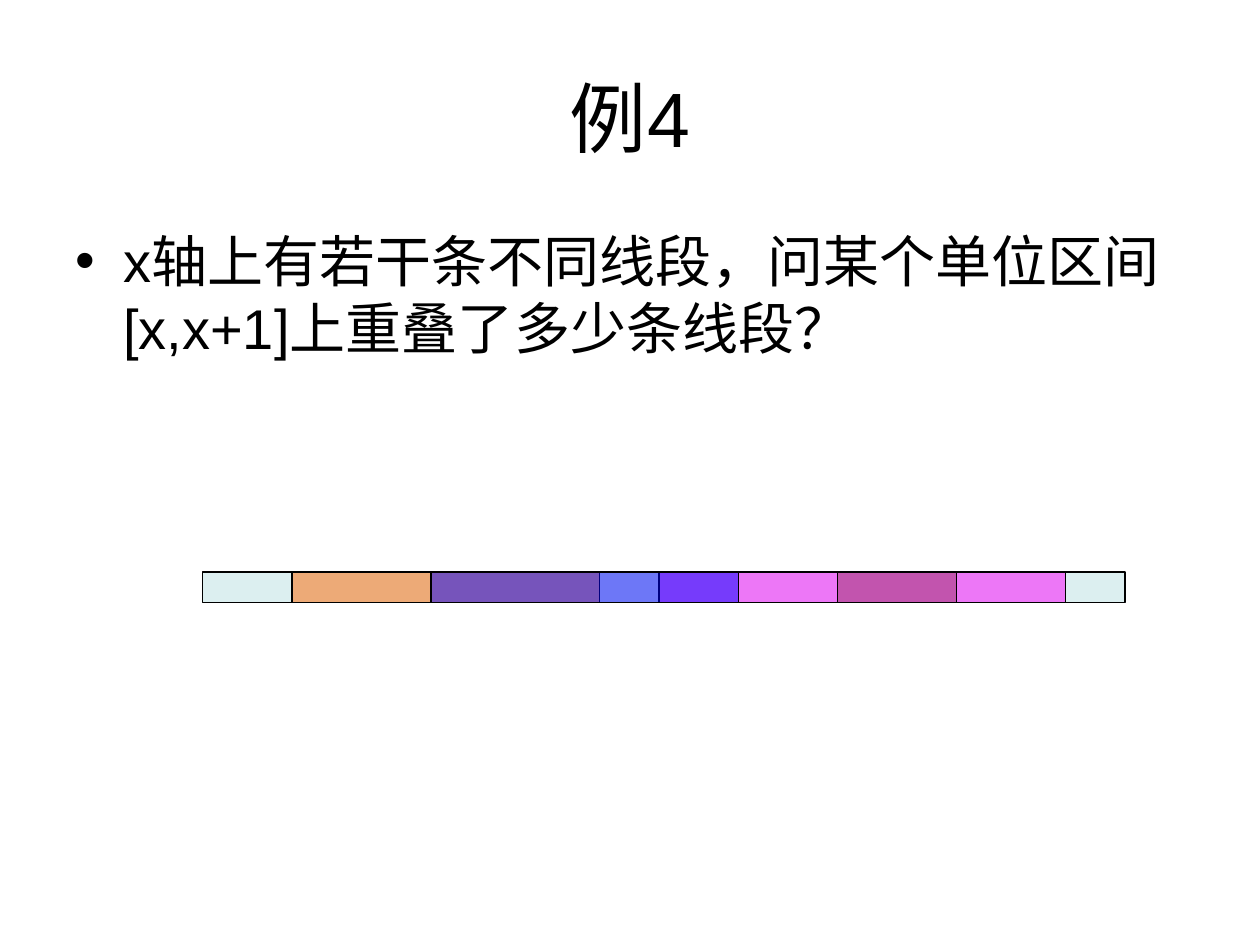
from dataclasses import dataclass
from lxml.etree import SubElement
from pptx import Presentation
from pptx.dml.color import RGBColor
from pptx.enum.shapes import MSO_SHAPE
from pptx.enum.text import MSO_ANCHOR, PP_ALIGN
from pptx.oxml.ns import qn
from pptx.util import Inches, Pt


@dataclass(frozen=True)
class Theme:
    """Colours and type sizes of the slide."""
    font: str = "Arial"
    ink: str = "000000"
    paper: str = "FFFFFF"
    aqua: str = "BBE0E3"
    orange: str = "FF6600"
    pink: str = "FF00FF"
    blue: str = "0000FF"
    plum: str = "993366"
    alpha: int = 50
    title: int = 44
    body: int = 32
    rule: float = 0.75


THEME = Theme()
WIDE, HIGH = Inches(10), Inches(7.5)
COLS = 93
SPANS = [
    (0, 93, THEME.aqua),
    (9, 31, THEME.orange),
    (46, 41, THEME.pink),
    (23, 31, THEME.blue),
    (64, 12, THEME.plum),
]


def share(left, top, width, height):
    """Turn shares of the slide's size into a box."""
    return int(left * WIDE), int(top * HIGH), int(width * WIDE), int(height * HIGH)


def write(slide, box, text, size):
    """Place one paragraph of text in the box and return its frame."""
    frame = slide.shapes.add_textbox(*box).text_frame
    frame.word_wrap = True
    frame.text = text
    font = frame.paragraphs[0].font
    font.name, font.size = THEME.font, Pt(size)
    font.color.rgb = RGBColor.from_string(THEME.ink)
    return frame


def title(slide, box):
    """Place the centred heading in the box."""
    frame = write(slide, box, "例4", THEME.title)
    frame.vertical_anchor = MSO_ANCHOR.MIDDLE
    frame.paragraphs[0].alignment = PP_ALIGN.CENTER


def body(slide, box):
    """Place the bulleted question in the box."""
    text = "x轴上有若干条不同线段，问某个单位区间[x,x+1]上重叠了多少条线段？"
    para = write(slide, box, text, THEME.body).paragraphs[0]
    para.space_before = Pt(8)
    props = para._p.get_or_add_pPr()
    props.set("marL", str(Inches(0.38)))
    props.set("indent", str(-Inches(0.38)))
    SubElement(props, qn("a:buFont"), typeface=THEME.font)
    SubElement(props, qn("a:buChar"), char="•")


def axis(slide, box):
    """Lay the translucent segments over the box's column grid."""
    left, top, width, height = box
    unit = width / COLS
    for start, count, color in SPANS:
        bar = slide.shapes.add_shape(
            MSO_SHAPE.RECTANGLE, int(left + start * unit), top, int(count * unit), height)
        bar.shadow.inherit = False
        bar.fill.solid()
        bar.fill.fore_color.rgb = RGBColor.from_string(color)
        tint = bar.fill._xPr.find(qn("a:solidFill"))[0]
        SubElement(tint, qn("a:alpha"), val=str(THEME.alpha * 1000))
        bar.line.color.rgb = RGBColor.from_string(THEME.ink)
        bar.line.width = Pt(THEME.rule)


def main():
    """Build the slide and save it."""
    deck = Presentation()
    deck.slide_width, deck.slide_height = WIDE, HIGH
    slide = deck.slides.add_slide(deck.slide_layouts[6])
    slide.background.fill.solid()
    slide.background.fill.fore_color.rgb = RGBColor.from_string(THEME.paper)
    title(slide, share(0.05, 0.04, 0.9, 1 / 6))
    body(slide, share(0.05, 0.7 / 3, 0.9, 0.66))
    axis(slide, share(0.161, 4.54 / 7.5, 0.732, 0.24 / 7.5))
    deck.save("out.pptx")


if __name__ == "__main__":
    main()
